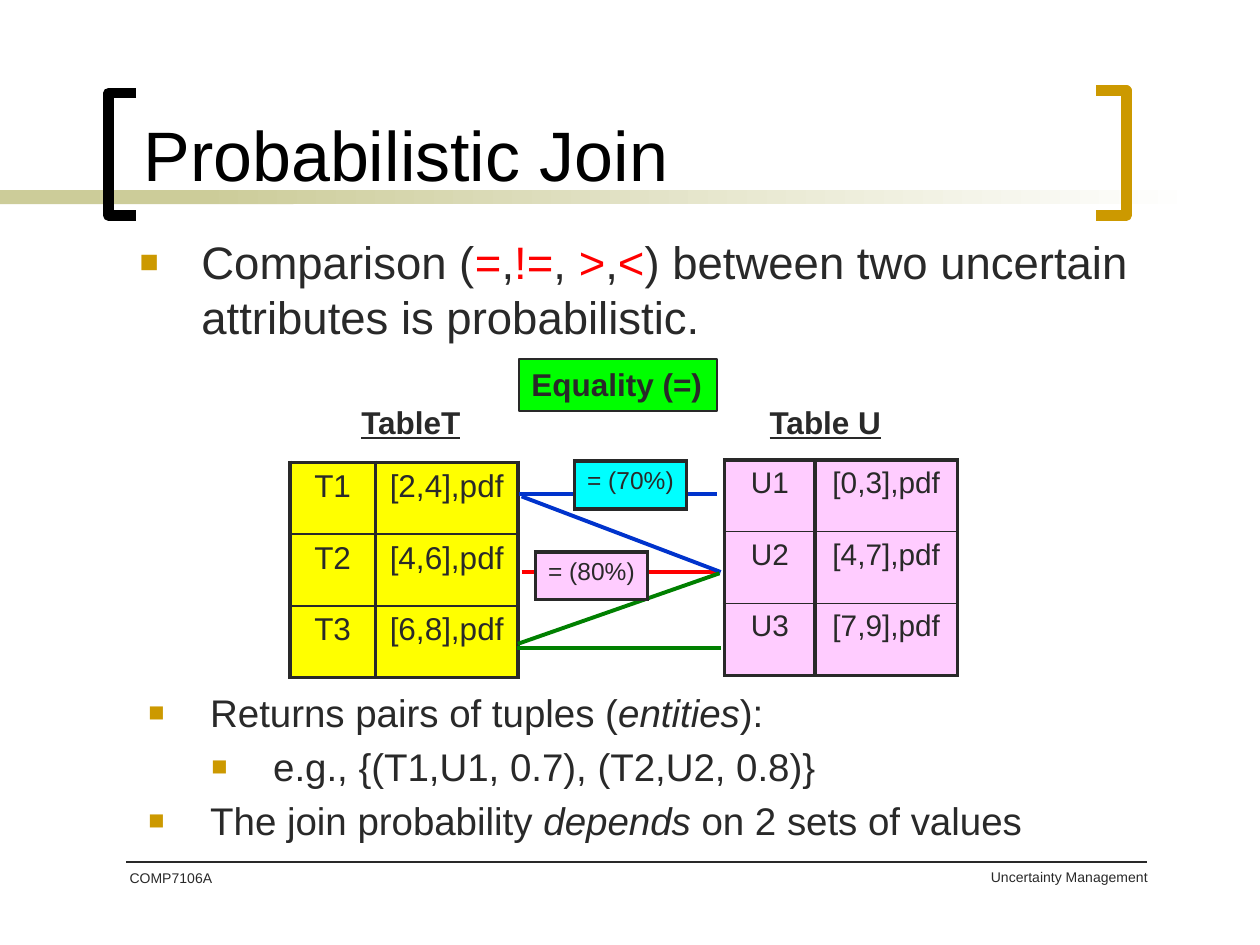
from lxml import etree
from pptx import Presentation
from pptx import util as u
from pptx.dml.color import RGBColor
from pptx.enum import shapes, text
from pptx.oxml import ns

HUE = dict(ink="292929", black="000000", white="FFFFFF", gold="CC9900",
           sand="CCCC99", red="FF0000", blue="0033CC", green="008000",
           lime="00FF00", yellow="FFFF00", pink="FFCCFF", aqua="00FFFF")
COLS, ROWS = 100, 75  # the grid that all lengths are given in
ALIGN = text.PP_ALIGN

deck = Presentation()
deck.slide_width, deck.slide_height = u.Inches(10), u.Inches(7.5)
slide = deck.slides.add_slide(deck.slide_layouts[6])
parts = slide.shapes


def rgb(name):
    return RGBColor.from_string(HUE[name])


def across(n):
    return round(deck.slide_width * n / COLS)


def down(n):
    return round(deck.slide_height * n / ROWS)


def place(box):
    x, y, w, h = box
    return across(x), down(y), across(w), down(h)


def node(parent, tag, **attrs):
    item = etree.SubElement(parent, ns.qn("a:" + tag))
    for key, val in attrs.items():
        item.set(key, str(val))
    return item


def add_run(para, words, size, color="ink", **style):
    run = para.add_run()
    run.text = words
    form = dict(name="Arial", size=u.Pt(size), **style)
    for key, val in form.items():
        setattr(run.font, key, val)
    run.font.color.rgb = rgb(color)


def space(para):
    """Space before, as a fifth of the line."""
    props = para._p.get_or_add_pPr()
    node(node(props, "spcBef"), "spcPct", val=20000)
    return props


def bullet(para, level):
    para.level = level
    props = space(para)
    props.set("marL", str(across(4.9 + 5 * level)))
    props.set("indent", str(-across(4.9)))
    node(node(props, "buClr"), "srgbClr", val=HUE["gold"])
    node(props, "buSzPct", val=70000)
    node(props, "buFont", typeface="Arial")
    node(props, "buChar", char="■")


def label(box, words, size, align=ALIGN.LEFT, wrap=True, anchor=text.MSO_ANCHOR.TOP,
          color="ink", **style):
    frame = parts.add_textbox(*place(box)).text_frame
    frame.word_wrap, frame.vertical_anchor = wrap, anchor
    para = frame.paragraphs[0]
    para.alignment = align
    add_run(para, words, size, color, **style)


def block(box):
    shape = parts.add_shape(shapes.MSO_SHAPE.RECTANGLE, *place(box))
    shape.shadow.inherit = False
    shape.line.fill.background()
    return shape


def link(start, end, color, width):
    line = parts.add_connector(shapes.MSO_CONNECTOR.STRAIGHT, across(start[0]),
                               down(start[1]), across(end[0]), down(end[1]))
    line.line.color.rgb, line.line.width = rgb(color), u.Pt(width)
    node(line._element.spPr, "effectLst")


def bracket(box, color, opens):
    """Square bracket whose open side faces right (opens=1) or left (0)."""
    x, y, w, h = box
    tip, back = (x + w, x) if opens else (x, x + w)
    pen = parts.build_freeform(across(tip), down(y))
    pen.add_line_segments([(across(back), down(y)), (across(back), down(y + h)),
                           (across(tip), down(y + h))], close=False)
    shape = pen.convert_to_shape()
    shape.shadow.inherit = False
    shape.fill.background()
    shape.line.color.rgb, shape.line.width = rgb(color), u.Pt(6)


def header(box):
    x, y, w, h = box
    # Band that fades to the right
    bar = y + h - 2
    solid = block((0, bar, 23.3, 1.1)).fill
    solid.solid()
    solid.fore_color.rgb = rgb("sand")
    fade = block((15.8, bar, 79.2, 1.1)).fill
    fade.gradient()
    fade.gradient_angle = 0
    for stop, spot, color in zip(fade.gradient_stops, (0, 1), ("sand", "white")):
        stop.position, stop.color.rgb = spot, rgb(color)
    # Brackets
    bracket((x, y + 0.2, 2.2, h - 0.2), "black", True)
    bracket((x + w - 2.4, y, 2.4, h), "gold", False)
    label((x + 1.8, 0.5, 85.1, 15.5), "Probabilistic Join", 40,
          anchor=text.MSO_ANCHOR.BOTTOM, color="black")


def points(box, size, items):
    """Bulleted text; each item is a level and its runs."""
    frame = parts.add_textbox(*place(box)).text_frame
    frame.word_wrap = True
    for i, (level, runs) in enumerate(items):
        para = frame.add_paragraph() if i else frame.paragraphs[0]
        bullet(para, level)
        for words, style in runs:
            add_run(para, words, size, **style)


def border(cell, widths):
    props = cell._tc.get_or_add_tcPr()
    for i, (side, width) in enumerate(zip("LRTB", widths)):
        line = node(props, "ln" + side, w=u.Pt(width))
        node(node(line, "solidFill"), "srgbClr", val=HUE["ink"])
        props.insert(i, line)


def grid(box, rows, shares, size, color, align=ALIGN.CENTER):
    table = parts.add_table(len(rows), len(shares), *place(box)).table
    table.first_row = table.horz_banding = False
    for col, share in zip(table.columns, shares):
        col.width = across(share)
    for r, row in enumerate(rows):
        for c, words in enumerate(row):
            cell = table.cell(r, c)
            cell.fill.solid()
            cell.fill.fore_color.rgb = rgb(color)
            para = cell.text_frame.paragraphs[0]
            para.alignment = align
            space(para)
            add_run(para, words, size)
            border(cell, (2.25, 2.25, 1 if r else 2.25,
                          1 if r < len(rows) - 1 else 2.25))


def chip(x, y, words, color):
    grid((x, y, 8.9, 3.8), [[words]], [8.9], 14, color, ALIGN.LEFT)


def join(box):
    x, y, w, h = box
    top = y + 8.2
    # Tables
    grid((x, top, 18.1, 17.1), [("T1", "[2,4],pdf"), ("T2", "[4,6],pdf"),
         ("T3", "[6,8],pdf")], (6.8, 11.3), 18, "yellow")
    grid((x + w - 18.5, top - 0.2, 18.5, 17.1), [("U1", "[0,3],pdf"),
         ("U2", "[4,7],pdf"), ("U3", "[7,9],pdf")], (7.2, 11.3), 17, "pink")
    # Matches between rows
    left, right = x + 18.2, x + 34.2
    first, mid, last = top + 2.5, top + 8.7, top + 14.7
    for start, end, color in [
            ((left + 0.2, mid), (right - 0.3, mid), "red"),
            ((left, first), (right - 0.3, first), "blue"),
            ((left + 0.2, first + 0.2), (right, mid), "blue"),
            ((left - 0.1, last - 0.3), (right - 0.1, mid + 0.1), "green"),
            ((left - 0.2, last), (right, last), "green")]:
        link(start, end, color, 2.25)
    chip(x + 22.6, top - 0.1, "= (70%)", "aqua")
    chip(x + 19.5, top + 7.1, "= (80%)", "pink")
    # Headings
    for shift, span, words in (4.7, 10.7, "TableT"), (37.1, 10.9, "Table U"):
        label((x + shift, y + 3, span, 4), words, 18, wrap=False,
              bold=True, underline=True)
    spot = (x + 18.2, y, 15.7, 4.1)
    back = block(spot)
    back.fill.solid()
    back.fill.fore_color.rgb = rgb("lime")
    back.line.color.rgb, back.line.width = rgb("ink"), u.Pt(1)
    frame = back.text_frame
    frame.word_wrap, frame.vertical_anchor = False, text.MSO_ANCHOR.TOP
    frame.paragraphs[0].alignment = ALIGN.LEFT
    add_run(frame.paragraphs[0], "Equality (=)", 18, bold=True)


def footer(box):
    x, y, w, h = box
    link((x, y), (x + w, y), "ink", 1)
    label((x - 0.7, y + 0.1, 11.7, h), "COMP7106A", 8)
    label((x + w - 40.3, y, 41.4, h), "Uncertainty Management", 8, ALIGN.RIGHT)


red, lean = dict(color="red"), dict(italic=True)
header((8.6, 7.2, 80.8, 9.9))
points((10.1, 18.1, 83.8, 10.5), 26, [
    (0, [("Comparison (", {}), ("=", red), (",", {}), ("!=", red), (", ", {}),
         (">", red), (",", {}), ("<", red),
         (") between two uncertain attributes is probabilistic.", {})])])
join((23, 28.5, 53, 25.3))
points((10.8, 54.2, 83.8, 14.4), 22, [
    (0, [("Returns pairs of tuples (", {}), ("entities", lean), ("):", {})]),
    (1, [("e.g., {(T1,U1, 0.7), (T2,U2, 0.8)}", {})]),
    (0, [("The join probability ", {}), ("depends ", lean),
         ("on 2 sets of values", {})])])
footer((10, 68.4, 81, 5))
deck.save("out.pptx")
